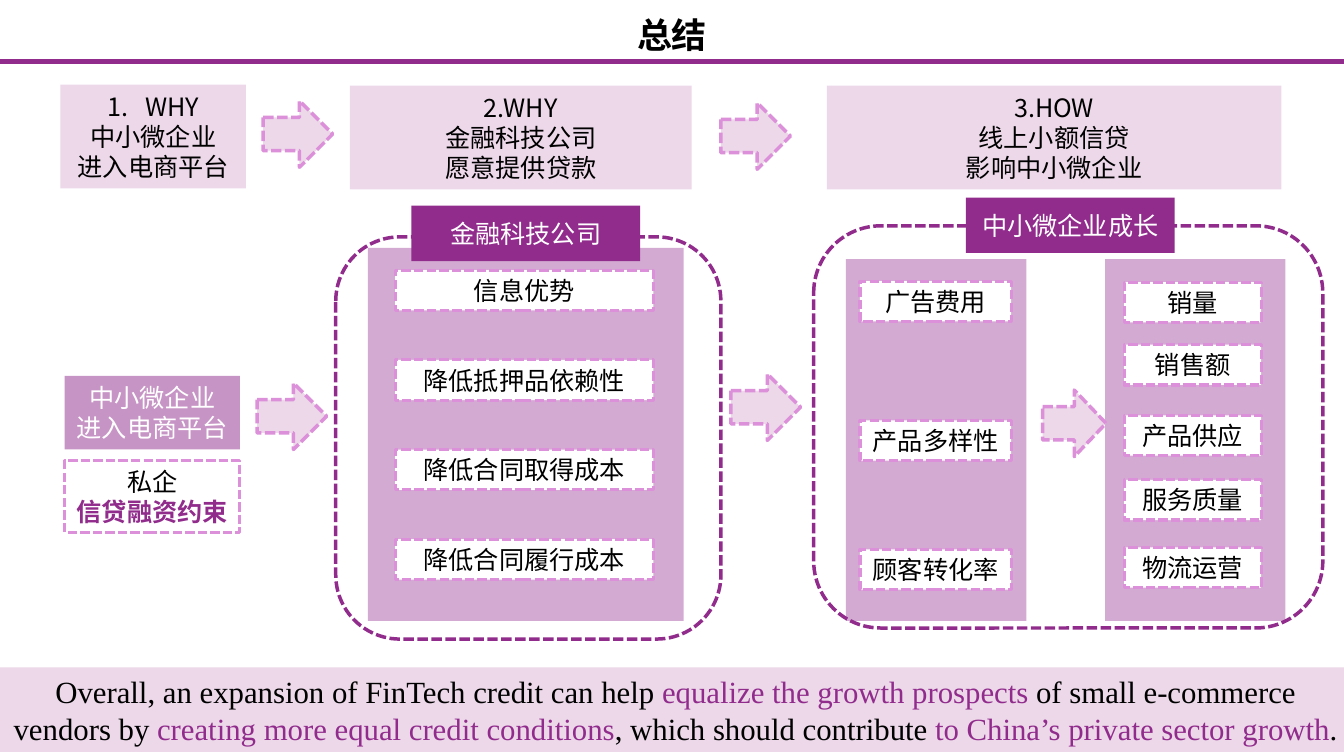
from lxml import etree
from pptx import Presentation
from pptx.dml.color import RGBColor
from pptx.enum.dml import MSO_LINE
from pptx.enum.shapes import MSO_CONNECTOR, MSO_SHAPE
from pptx.enum.text import MSO_ANCHOR, PP_ALIGN
from pptx.oxml.ns import qn
from pptx.util import Inches, Pt

RECT, ROUND, ARROW = MSO_SHAPE.RECTANGLE, MSO_SHAPE.ROUNDED_RECTANGLE, MSO_SHAPE.RIGHT_ARROW
STRAIGHT = MSO_CONNECTOR.STRAIGHT
DASH = MSO_LINE.SQUARE_DOT
CENTER = PP_ALIGN.CENTER
MIDDLE, BOTTOM = MSO_ANCHOR.MIDDLE, MSO_ANCHOR.BOTTOM
SANS, SERIF = "Noto Sans CJK SC", "Times New Roman"
PURPLE, PALE, PINK, WHITE, BLACK = "912C8D", "ECD8E9", "DD90DA", "FFFFFF", "000000"
ARROW_W, ARROW_H, LABEL_H, HEAD_H = 0.69, 0.66, 0.4, 0.55


def color(value):
    return RGBColor.from_string(value)


def write(sp, lines, size=18, font=SANS, fill=BLACK, anchor=MIDDLE,
          spacing=Pt(21.6), inset=0.05, numbered=False):
    tf = sp.text_frame
    tf.word_wrap = True
    tf.vertical_anchor = anchor
    tf.margin_left = tf.margin_right = Inches(inset)
    tf.margin_top = tf.margin_bottom = 0
    for i, runs in enumerate(lines):
        p = tf.paragraphs[0] if i == 0 else tf.add_paragraph()
        p.alignment = CENTER
        p.line_spacing = spacing
        if numbered and i == 0:
            pPr = p._p.get_or_add_pPr()
            pPr.set("marL", str(Inches(0.38)))
            pPr.set("indent", str(-Inches(0.38)))
            etree.SubElement(pPr, qn("a:buFont"), typeface="+mj-lt")
            etree.SubElement(pPr, qn("a:buAutoNum"), type="arabicPeriod")
        for text, run_fill, bold in [(runs, fill, False)] if isinstance(runs, str) else runs:
            r = p.add_run()
            r.text = text
            r.font.size = Pt(size)
            r.font.bold = bold
            r.font.color.rgb = color(run_fill)
            r.font.name = font
            etree.SubElement(r._r.get_or_add_rPr(), qn("a:ea"), typeface=font)


def add_box(shapes, kind, box, fill=None, alpha=None, line=None, width=2.25):
    sp = shapes.add_shape(kind, *map(Inches, box))
    sp.shadow.inherit = False
    if fill:
        sp.fill.solid()
        sp.fill.fore_color.rgb = color(fill)
    else:
        sp.fill.background()
    if alpha:
        rgb = sp._element.spPr.find(".//" + qn("a:srgbClr"))
        etree.SubElement(rgb, qn("a:alpha"), val=str(alpha * 1000))
    if line:
        sp.line.color.rgb = color(line)
        sp.line.width = Pt(width)
        sp.line.dash_style = DASH
    else:
        sp.line.fill.background()
    return sp


def add_arrow(shapes, x, y, w=ARROW_W):
    add_box(shapes, ARROW, (x, y, w, ARROW_H), PALE, line=PINK, width=2.5)


def add_title(s, box):
    x, y, w, h = box
    title = s.shapes.title
    title.left, title.top, title.width, title.height = map(Inches, box)
    write(title, [[("总结", BLACK, True)]], size=25, anchor=BOTTOM, spacing=0.9)
    rule_y = Inches(y + h + 0.05)
    rule = s.shapes.add_connector(STRAIGHT, Inches(x), rule_y, Inches(x + w), rule_y)
    rule.line.color.rgb = color(PURPLE)
    rule.line.width = Pt(3)
    etree.SubElement(rule._element.spPr, qn("a:effectLst"))


def add_steps(shapes, box):
    x, y, h = box
    steps = [(0, 0, 1.84, ["WHY", "中小微企业", "进入电商平台"], True),
             (2.87, 0.01, 3.39, ["2.WHY", "金融科技公司", "愿意提供贷款"], False),
             (7.6, 0.01, 4.51, ["3.HOW", "线上小额信贷", "影响中小微企业"], False)]
    for dx, dy, w, lines, numbered in steps:
        sp = add_box(shapes, RECT, (x + dx, y + dy, w, h), PALE)
        write(sp, lines, numbered=numbered)
    add_arrow(shapes, x + 2.01, y + 0.16)
    add_arrow(shapes, x + 6.55, y + 0.18)


def add_enterprise(shapes, box):
    x, y, w = box
    entry = add_box(shapes, RECT, (x, y, w, 0.73), PURPLE, alpha=50)
    write(entry, ["中小微企业", "进入电商平台"], fill=WHITE)
    limit = add_box(shapes, RECT, (x, y + 0.84, w, 0.71), WHITE, line=PINK)
    write(limit, ["私企", [("信贷融资约束", PURPLE, True)]])


def add_panel(shapes, box, label_x, label_w, labels):
    x, y, w, h = box
    add_box(shapes, RECT, box, PURPLE, alpha=40)
    for dy, text in labels:
        sp = add_box(shapes, RECT, (x + label_x, y + dy, label_w, LABEL_H), WHITE, line=PINK)
        write(sp, [text])


def add_frame(shapes, box, heading, head_x, head_y, head_w):
    x, y, w, h = box
    add_box(shapes, ROUND, box, line=PURPLE, width=2.5)
    sp = add_box(shapes, RECT, (x + head_x, y + head_y, head_w, HEAD_H), PURPLE)
    write(sp, [heading], fill=WHITE)


def add_fintech(shapes, box):
    x, y, w, h = box
    names = ["信息优势", "降低抵押品依赖性", "降低合同取得成本", "降低合同履行成本"]
    labels = [(0.22 + 0.89 * i, name) for i, name in enumerate(names)]
    add_panel(shapes, (x + 0.32, y + 0.11, 3.13, 3.7), 0.27, 2.56, labels)
    add_frame(shapes, box, "金融科技公司", 0.75, -0.31, 2.27)


def add_growth(shapes, box):
    x, y, w, h = box
    panel_y, panel_w, panel_h = y + 0.33, 1.79, 3.59
    add_panel(shapes, (x + 0.32, panel_y, panel_w, panel_h), 0.14, 1.5,
              [(0.22, "广告费用"), (1.6, "产品多样性"), (2.88, "顾客转化率")])
    add_panel(shapes, (x + 2.89, panel_y, panel_w, panel_h), 0.19, 1.36,
              [(0.23, "销量"), (0.85, "销售额"), (1.55, "产品供应"),
               (2.19, "服务质量"), (2.86, "物流运营")])
    add_arrow(shapes, x + 2.27, y + 1.63, 0.63)
    add_frame(shapes, box, "中小微企业成长", 1.51, -0.28, 2.07)


def add_conclusion(shapes, box):
    sp = add_box(shapes, RECT, box, PALE)
    runs = [("Overall, an expansion of FinTech credit can help ", BLACK, False),
            ("equalize the growth prospects ", PURPLE, False),
            ("of small e-commerce vendors by ", BLACK, False),
            ("creating more equal credit conditions", PURPLE, False),
            (", which should contribute ", BLACK, False),
            ("to China’s private sector growth", PURPLE, False),
            (".", BLACK, False)]
    write(sp, [runs], size=22, font=SERIF, spacing=1.0, inset=0.1)


def main():
    prs = Presentation()
    prs.slide_width, prs.slide_height = Inches(13.33), Inches(7.5)
    s = prs.slides.add_slide(prs.slide_layouts[5])
    add_title(s, (0, 0.08, 13.33, 0.48))
    add_steps(s.shapes, (0.6, 0.84, 1.03))
    add_enterprise(s.shapes, (0.64, 3.73, 1.74))
    add_fintech(s.shapes.add_group_shape().shapes, (3.33, 2.35, 3.82, 3.99))
    add_growth(s.shapes.add_group_shape().shapes, (8.07, 2.24, 5.05, 3.99))
    add_arrow(s.shapes, 2.55, 3.8)
    add_arrow(s.shapes, 7.25, 3.71)
    add_conclusion(s.shapes, (0, 6.62, 13.4, 0.84))
    prs.save("out.pptx")


if __name__ == "__main__":
    main()
